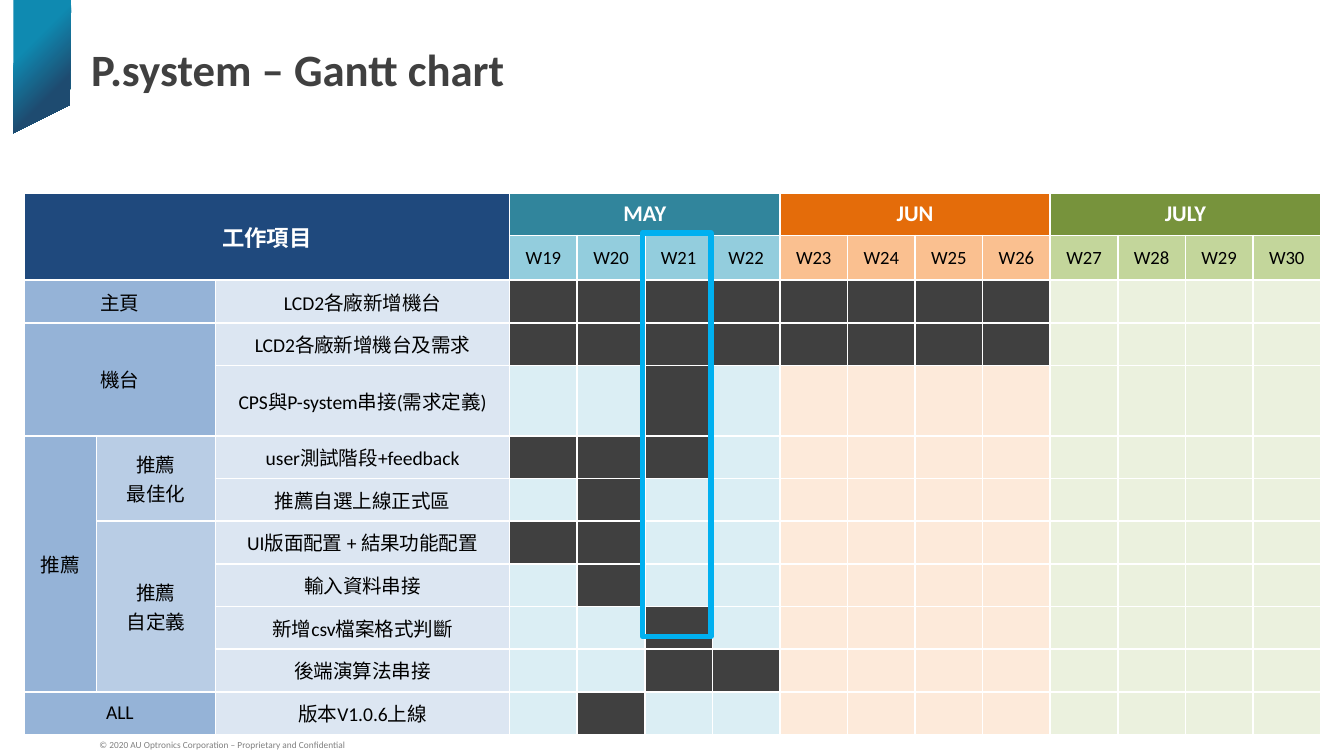
"""Build a Gantt chart slide: a merged table of tasks by week, with the current week outlined."""
from dataclasses import dataclass
from typing import Any

import lxml.etree
import pptx
import pptx.dml.color
import pptx.enum.shapes
import pptx.enum.text
import pptx.oxml.ns
import pptx.util

SLIDE_WIDTH = pptx.util.Inches(10)
SLIDE_HEIGHT = SLIDE_WIDTH * 9 // 16
COLORS = {
    "white": "FFFFFF", "black": "000000", "bar": "404040", "footer": "808080",
    "header": "1F497D", "group": "95B3D7", "subgroup": "B9CDE5", "task": "DCE6F2",
    "highlight": "00B0F0", "banner_light": "0F8AB1", "banner_dark": "1E4B70",
}
COLUMN_SHARES = (1.07, 1.76, 4.35) + (1,) * 12
ROW_SHARES = (1, 1.05, 1, 1, 1.65) + (1,) * 7
LABEL_COLUMNS = 3
HEADER_ROWS = 2
WEEKS_PER_MONTH = 4
FIRST_WEEK = 19
CENTER = pptx.enum.text.PP_ALIGN.CENTER
MIDDLE = pptx.enum.text.MSO_ANCHOR.MIDDLE
BOTTOM = pptx.enum.text.MSO_ANCHOR.BOTTOM


@dataclass(frozen=True)
class Frame:
    """Position and size in percent of the slide."""
    left: float
    top: float
    width: float
    height: float

    def lengths(self) -> tuple[int, int, int, int]:
        """Return left, top, width and height as slide lengths."""
        return (int(SLIDE_WIDTH * self.left / 100), int(SLIDE_HEIGHT * self.top / 100),
                int(SLIDE_WIDTH * self.width / 100), int(SLIDE_HEIGHT * self.height / 100))


@dataclass(frozen=True)
class Style:
    """Character format."""
    size: float
    color: str
    bold: bool = False


@dataclass(frozen=True)
class Caption:
    """Free-standing text."""
    text: str
    frame: Frame
    style: Style
    anchor: Any
    side_inset: float
    line_spacing: float


@dataclass(frozen=True)
class Month:
    """Month heading and the fills of its weeks."""
    name: str
    fill: str
    week_fill: str
    empty_fill: str


@dataclass(frozen=True)
class Task:
    """Task name and the weeks it is worked on."""
    name: str
    weeks: tuple[int, ...]


@dataclass(frozen=True)
class Group:
    """Label cell covering several rows or columns."""
    text: str
    row: int
    column: int
    rows: int
    columns: int
    fill: str = "group"


HEADING = Style(12, "white", True)
WEEK = Style(10, "black")
BODY = Style(10.5, "black")
TABLE_FRAME = Frame(1.8, 25.5, 96.5, 71.7)
HIGHLIGHT_FRAME = Frame(47.8, 30.8, 5.1, 53.4)
BANNER_POINTS = ((1, 0), (5.3, 0), (5.2, 13.9), (1, 17.6))
CAPTIONS = (
    Caption("© 2020 AU Optronics Corporation – Proprietary and Confidential",
            Frame(6.6, 97, 37.5, 3.1), Style(5, "footer"), BOTTOM, 0.08, 0.8),
    Caption("P.system – Gantt chart", Frame(5.8, 4.4, 80.6, 9.4),
            Style(24, "bar", True), MIDDLE, 0.1, 1),
)
MONTHS = (
    Month("MAY", "31859C", "93CDDD", "DBEEF4"),
    Month("JUN", "E46C0A", "FAC090", "FDEADA"),
    Month("JULY", "77933C", "C3D69B", "EBF1DE"),
)
TASKS = (
    Task("LCD2各廠新增機台", tuple(range(19, 27))),
    Task("LCD2各廠新增機台及需求", tuple(range(19, 27))),
    Task("CPS與P-system串接(需求定義)", (21,)),
    Task("user測試階段+feedback", (19, 20, 21)),
    Task("推薦自選上線正式區", (20,)),
    Task("UI版面配置 + 結果功能配置", (19, 20)),
    Task("輸入資料串接", (20,)),
    Task("新增csv檔案格式判斷", (21,)),
    Task("後端演算法串接", (21, 22)),
    Task("版本V1.0.6上線", (20,)),
)
GROUPS = (
    Group("主頁", 2, 0, 1, 2),
    Group("機台", 3, 0, 2, 2),
    Group("推薦", 5, 0, 6, 1),
    Group("推薦\n最佳化", 5, 1, 2, 1, "subgroup"),
    Group("推薦\n自定義", 7, 1, 4, 1, "subgroup"),
    Group("ALL", 11, 0, 1, 2),
)


def rgb(color: str) -> pptx.dml.color.RGBColor:
    """Turn a colour name or hex string into a colour."""
    return pptx.dml.color.RGBColor.from_string(COLORS.get(color, color))


def apply(target: Any, values: dict[str, Any]) -> None:
    """Set each named attribute of the target."""
    for name, value in values.items():
        setattr(target, name, value)


def write(text_frame: Any, text: str, style: Style, paragraph_format: dict[str, Any]) -> None:
    """Write each line of text as a formatted paragraph."""
    for index, line in enumerate(text.split("\n")):
        para = text_frame.add_paragraph() if index else text_frame.paragraphs[0]
        apply(para, paragraph_format)
        span = para.add_run()
        span.text = line
        apply(span.font, {"name": "Calibri", "size": pptx.util.Pt(style.size), "bold": style.bold})
        span.font.color.rgb = rgb(style.color)


def draw_caption(page: Any, caption: Caption) -> None:
    """Draw a free-standing text box."""
    box = page.shapes.add_textbox(*caption.frame.lengths())
    inset = pptx.util.Inches(caption.side_inset)
    apply(box.text_frame, {"word_wrap": True, "vertical_anchor": caption.anchor,
                           "margin_left": inset, "margin_right": inset})
    write(box.text_frame, caption.text, caption.style, {"line_spacing": caption.line_spacing})


def draw_banner(page: Any) -> None:
    """Draw the gradient ribbon in the top left corner."""
    points = [Frame(x, y, 0, 0).lengths()[:2] for x, y in BANNER_POINTS]
    builder = page.shapes.build_freeform(*points[0])
    builder.add_line_segments(points[1:], close=True)
    banner = builder.convert_to_shape()
    banner.shadow.inherit = False
    banner.line.fill.background()
    banner.fill.gradient()
    banner.fill.gradient_angle = 315
    for stop, color, position in zip(banner.fill.gradient_stops,
                                     ("banner_light", "banner_dark"), (0.32, 0.7)):
        stop.color.rgb = rgb(color)
        stop.position = position


def fill_cell(cell: Any, fill: str, text: str = "", style: Style = BODY) -> None:
    """Colour a cell and write its text, if any."""
    cell.fill.solid()
    cell.fill.fore_color.rgb = rgb(fill)
    cell.vertical_anchor = MIDDLE
    if text:
        write(cell.text_frame, text, style, {"alignment": CENTER})


def prepare_cell(cell: Any) -> None:
    """Give a cell white borders and a small size for its empty paragraph."""
    properties = cell._tc.get_or_add_tcPr()
    qn = pptx.oxml.ns.qn
    for side in ("a:lnL", "a:lnR", "a:lnT", "a:lnB"):
        border = lxml.etree.SubElement(properties, qn(side), w=str(pptx.util.Pt(1)))
        solid = lxml.etree.SubElement(border, qn("a:solidFill"))
        lxml.etree.SubElement(solid, qn("a:srgbClr"), val=COLORS["white"])
    end = cell.text_frame.paragraphs[0]._p.get_or_add_endParaRPr()
    end.set("sz", "1000")


def draw_group(table: Any, group: Group, style: Style = BODY) -> None:
    """Merge the cells of a group and label them."""
    cell = table.cell(group.row, group.column)
    cell.merge(table.cell(group.row + group.rows - 1, group.column + group.columns - 1))
    fill_cell(cell, group.fill, group.text, style)


def draw_schedule(page: Any) -> None:
    """Draw the table of tasks by week."""
    left, top, width, height = TABLE_FRAME.lengths()
    table = page.shapes.add_table(len(ROW_SHARES), len(COLUMN_SHARES), left, top, width, height).table
    apply(table, {"first_row": False, "horz_banding": False})
    for column, share in zip(table.columns, COLUMN_SHARES):
        column.width = int(width * share / sum(COLUMN_SHARES))
    for row, share in zip(table.rows, ROW_SHARES):
        row.height = int(height * share / sum(ROW_SHARES))
    for cell in table.iter_cells():
        prepare_cell(cell)

    draw_group(table, Group("工作項目", 0, 0, HEADER_ROWS, LABEL_COLUMNS, "header"), HEADING)
    for group in GROUPS:
        draw_group(table, group)
    for row, task in enumerate(TASKS, HEADER_ROWS):
        fill_cell(table.cell(row, LABEL_COLUMNS - 1), "task", task.name)
    for index, month in enumerate(MONTHS):
        start = index * WEEKS_PER_MONTH
        draw_group(table, Group(month.name, 0, LABEL_COLUMNS + start, 1, WEEKS_PER_MONTH, month.fill), HEADING)
        for offset in range(start, start + WEEKS_PER_MONTH):
            week, column = FIRST_WEEK + offset, LABEL_COLUMNS + offset
            fill_cell(table.cell(1, column), month.week_fill, f"W{week}", WEEK)
            for row, task in enumerate(TASKS, HEADER_ROWS):
                fill_cell(table.cell(row, column), "bar" if week in task.weeks else month.empty_fill)


def draw_highlight(page: Any) -> None:
    """Outline the current week."""
    box = page.shapes.add_shape(pptx.enum.shapes.MSO_SHAPE.RECTANGLE, *HIGHLIGHT_FRAME.lengths())
    box.shadow.inherit = False
    box.fill.background()
    box.line.color.rgb = rgb("highlight")
    box.line.width = pptx.util.Pt(3)


def main() -> None:
    """Build and save the deck."""
    deck = pptx.Presentation()
    apply(deck, {"slide_width": SLIDE_WIDTH, "slide_height": SLIDE_HEIGHT})
    page = deck.slides.add_slide(deck.slide_layouts[6])
    draw_banner(page)
    for caption in CAPTIONS:
        draw_caption(page, caption)
    draw_schedule(page)
    draw_highlight(page)
    deck.save("out.pptx")


if __name__ == "__main__":
    main()
